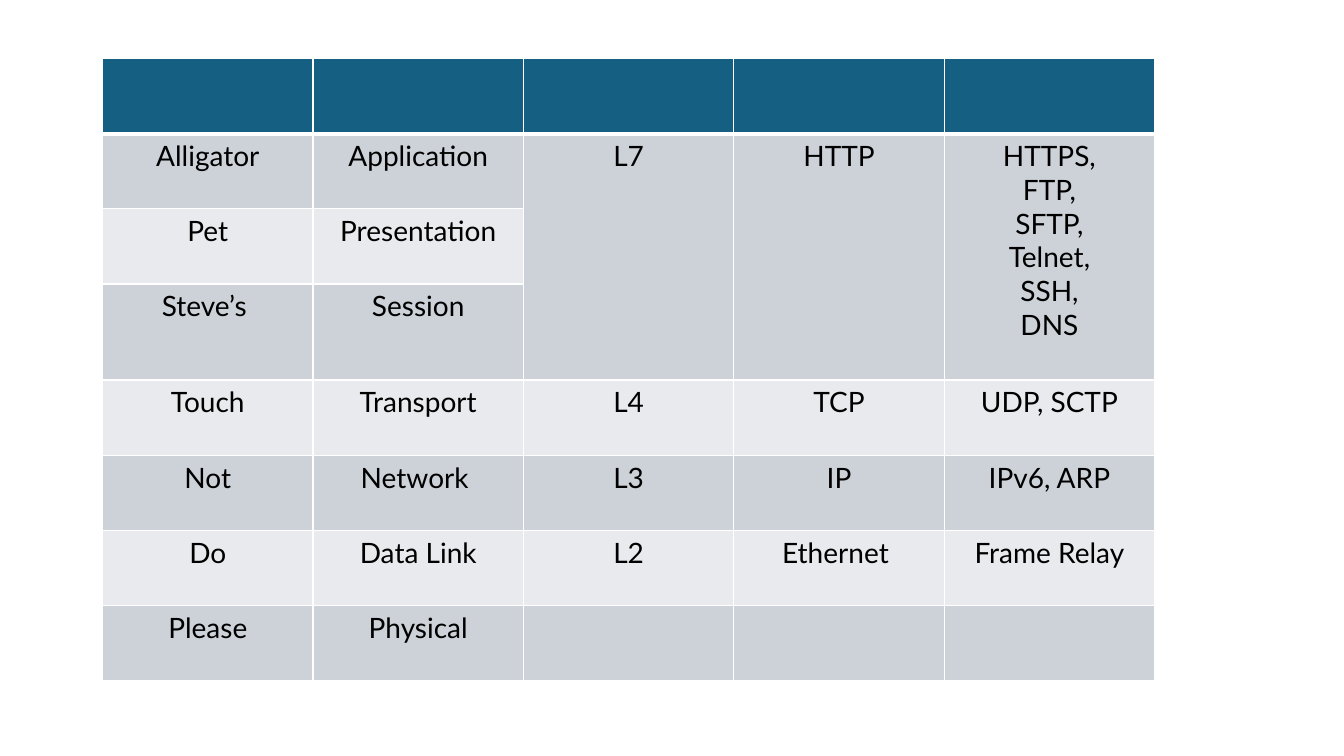
from dataclasses import dataclass

from lxml import etree
from pptx import Presentation
from pptx.dml.color import RGBColor
from pptx.enum import text
from pptx.oxml import ns
from pptx.table import _Cell
from pptx.util import Pt

COLORS = {
    "header": "156082",
    "dark_band": "CCD2D8",
    "light_band": "E8EAED",
    "border": "FFFFFF",
    "text": "000000",
}
FONT = "Lato"
FONT_SIZE = 20
LEFT, TOP = 73.3, 41.8
COLUMN_WIDTH = 150.3
ROW_HEIGHT = 53.7
SESSION_HEIGHT = 68.6
THIN, THICK = 1, 3


@dataclass(frozen=True)
class Layer:
    mnemonic: str = ""
    name: str = ""
    level: str = ""
    protocol: str = ""
    others: str = ""
    height: float = ROW_HEIGHT

    def texts(self) -> tuple[str, ...]:
        return self.mnemonic, self.name, self.level, self.protocol, self.others


# "\v" breaks a line, "\n" starts a paragraph
HEADER = Layer()
LAYERS = [
    Layer("Alligator", "Application", "L7", "HTTP",
          "HTTPS,\vFTP,\vSFTP,\vTelnet,\vSSH,\nDNS"),
    Layer("Pet", "Presentation"),
    Layer("Steve’s ", "Session", height=SESSION_HEIGHT),
    Layer("Touch", "Transport", "L4", "TCP", "UDP, SCTP"),
    Layer("Not", "Network ", "L3", "IP", "IPv6, ARP"),
    Layer("Do", "Data Link", "L2", "Ethernet ", "Frame Relay"),
    Layer("Please", "Physical"),
]
MERGED_COLUMNS = range(2, 5)
MERGED_ROWS = (1, 3)


def set_borders(cell: _Cell, top: float, bottom: float) -> None:
    """Draw all four borders; they must come before the fill in tcPr."""
    properties = cell._tc.get_or_add_tcPr()
    widths = {"lnL": THIN, "lnR": THIN, "lnT": top, "lnB": bottom}
    for position, (side, width) in enumerate(widths.items()):
        line = etree.Element(ns.qn(f"a:{side}"), w=str(Pt(width)))
        fill = etree.SubElement(line, ns.qn("a:solidFill"))
        etree.SubElement(fill, ns.qn("a:srgbClr"), val=COLORS["border"])
        properties.insert(position, line)


def fill_cell(cell: _Cell, content: str, row: int) -> None:
    band = "header" if row == 0 else "dark_band" if row % 2 else "light_band"
    cell.fill.solid()
    cell.fill.fore_color.rgb = RGBColor.from_string(COLORS[band])
    set_borders(cell, THICK if row == 1 else THIN, THICK if row == 0 else THIN)
    if content:
        cell.text = content
    for paragraph in cell.text_frame.paragraphs:
        paragraph.alignment = text.PP_ALIGN.CENTER
        paragraph.font.name = FONT
        paragraph.font.size = Pt(FONT_SIZE)
        paragraph.font.color.rgb = RGBColor.from_string(COLORS["text"])


def main() -> None:
    deck = Presentation()
    deck.slide_width, deck.slide_height = Pt(960), Pt(540)
    slide = deck.slides.add_slide(deck.slide_layouts[6])

    rows = [HEADER, *LAYERS]
    column_count = len(HEADER.texts())
    osi_model = slide.shapes.add_table(
        len(rows), column_count, Pt(LEFT), Pt(TOP),
        Pt(COLUMN_WIDTH * column_count), Pt(sum(layer.height for layer in rows)),
    ).table

    for column in osi_model.columns:
        column.width = Pt(COLUMN_WIDTH)
    for row, layer in enumerate(rows):
        osi_model.rows[row].height = Pt(layer.height)
        for column, content in enumerate(layer.texts()):
            fill_cell(osi_model.cell(row, column), content, row)

    first, last = MERGED_ROWS
    for column in MERGED_COLUMNS:
        osi_model.cell(first, column).merge(osi_model.cell(last, column))

    deck.save("out.pptx")


if __name__ == "__main__":
    main()
